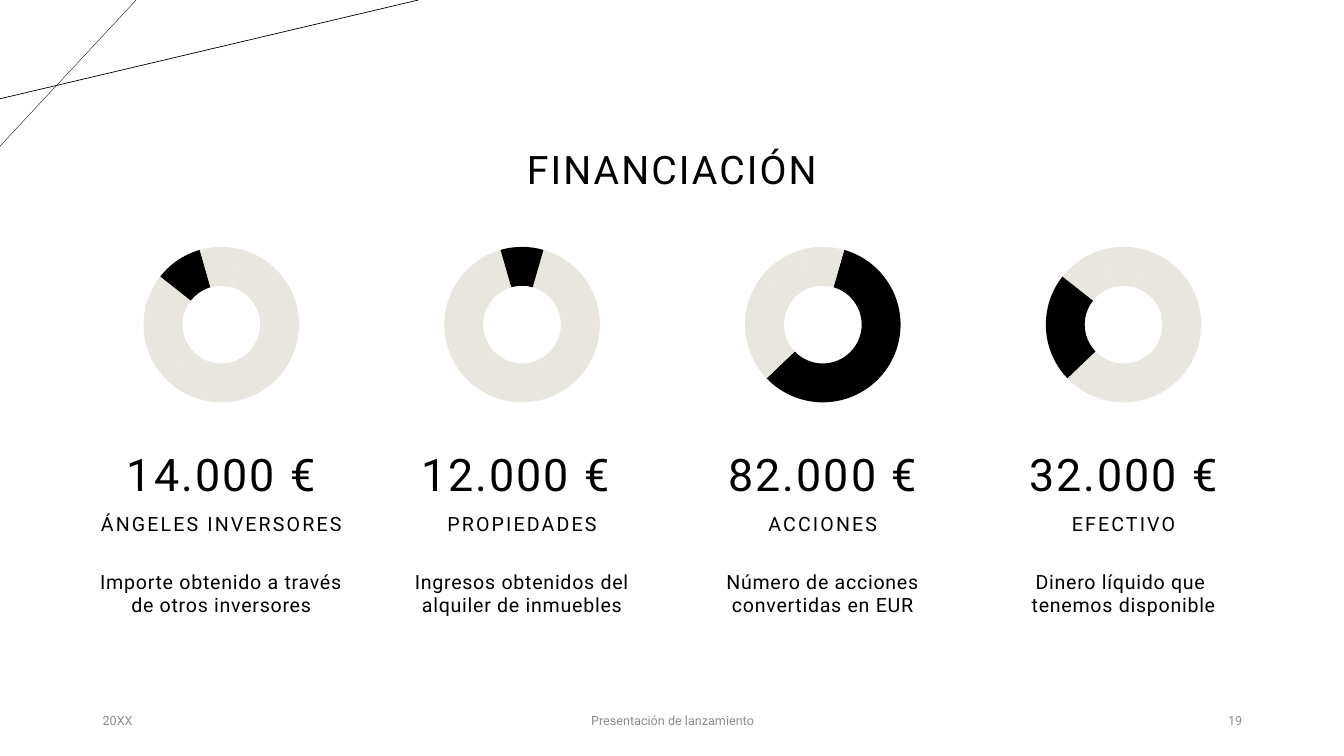
from dataclasses import dataclass

from lxml import etree
from pptx import Presentation
from pptx.chart.data import CategoryChartData
from pptx.dml.color import RGBColor
from pptx.enum.chart import XL_CHART_TYPE
from pptx.enum.shapes import MSO_CONNECTOR
from pptx.enum.text import MSO_ANCHOR, MSO_AUTO_SIZE, PP_ALIGN
from pptx.oxml import parse_xml
from pptx.oxml.ns import nsdecls, qn
from pptx.util import Inches, Pt

LEFT, CENTER, RIGHT = PP_ALIGN.LEFT, PP_ALIGN.CENTER, PP_ALIGN.RIGHT
TOP, MIDDLE, BOTTOM = MSO_ANCHOR.TOP, MSO_ANCHOR.MIDDLE, MSO_ANCHOR.BOTTOM

TITLE = "FINANCIACIÓN"
SHARES = {"1": 59, "2": 23, "3": 10, "4": 9}
# amount, source, description, index of the highlighted share
FUNDING = [
    ("14.000 €", "ÁNGELES INVERSORES", "Importe obtenido a través de otros inversores", 2),
    ("12.000 € ", "PROPIEDADES", "Ingresos obtenidos del alquiler de inmuebles", 3),
    ("82.000 €", "ACCIONES", "Número de acciones convertidas en EUR", 0),
    ("32.000 €", "EFECTIVO", "Dinero líquido que \ntenemos disponible", 1),
]
# text, left, width, alignment
FOOTER = [
    ("20XX", 0.92, 3, LEFT),
    ("Presentación de lanzamiento", 4.42, 4.5, CENTER),
    ("19", 9.42, 3, RIGHT),
]
# start, end, width in points
CORNER_LINES = [((1.35, 0), (0, 1.45), 0.25), ((4.15, 0), (0, 0.98), 0.5)]


@dataclass(frozen=True)
class Theme:
    font: str = "Roboto"
    ink: RGBColor = RGBColor(0x00, 0x00, 0x00)
    ring: RGBColor = RGBColor(0xE9, 0xE6, 0xDF)
    muted: RGBColor = RGBColor(0x8C, 0x8C, 0x8C)
    title_size: float = 28
    amount_size: float = 32
    body_size: float = 14
    chart_size: float = 10
    footer_size: float = 9


THEME = Theme()
FIRST_COLUMN, COLUMN_STEP, COLUMN_WIDTH = 0.92, 2.983, 2.55
CHART_INSET, CHART_TOP, CHART_WIDTH, CHART_HEIGHT = 0.26, 2.32, 2.03, 1.82
RING_DIAMETER = 1.55


def write_text(shape, text, *, size, color=THEME.ink, align=CENTER, anchor=MIDDLE,
               tracking=0, line_spacing=1.0, space_before=0, side_inset=0.1):
    frame = shape.text_frame
    frame.word_wrap = True
    frame.auto_size = MSO_AUTO_SIZE.NONE
    frame.vertical_anchor = anchor
    frame.margin_left = frame.margin_right = Inches(side_inset)
    frame.margin_top = frame.margin_bottom = Inches(0.05)
    paragraph = frame.paragraphs[0]
    paragraph.text = text
    paragraph.alignment = align
    paragraph.line_spacing = line_spacing
    paragraph.space_before = Pt(space_before)
    for run in paragraph.runs:
        run.font.name = THEME.font
        run.font.size = Pt(size)
        run.font.color.rgb = color
        run.font._element.set("spc", str(int(tracking * 100)))


def add_text(slide, box, text, **text_format):
    write_text(slide.shapes.add_textbox(*map(Inches, box)), text, **text_format)


def add_line(slide, start, end, width):
    line = slide.shapes.add_connector(
        MSO_CONNECTOR.STRAIGHT, *map(Inches, (*start, *end)))
    line.line.color.rgb = THEME.ink
    line.line.width = Pt(width)
    etree.SubElement(line._element.spPr, qn("a:effectLst"))


def fix_plot_area(chart):
    """Centre the ring at a fixed diameter inside the chart frame."""
    width, height = RING_DIAMETER / CHART_WIDTH, RING_DIAMETER / CHART_HEIGHT
    values = {"x": (1 - width) / 2, "y": (1 - height) / 2, "w": width, "h": height}
    parts = "".join(f'<c:{key} val="{value:.2f}"/>' for key, value in values.items())
    layout = parse_xml(
        f'<c:layout {nsdecls("c")}><c:manualLayout><c:layoutTarget val="inner"/>'
        f'<c:xMode val="edge"/><c:yMode val="edge"/>{parts}</c:manualLayout></c:layout>')
    plot_area = chart._chartSpace.chart.plotArea
    for old_layout in plot_area.findall(qn("c:layout")):
        plot_area.remove(old_layout)
    plot_area.insert(0, layout)


def add_ring(slide, left, highlighted):
    data = CategoryChartData()
    data.categories = list(SHARES)
    data.add_series("Series 1", list(SHARES.values()))
    chart = slide.shapes.add_chart(
        XL_CHART_TYPE.DOUGHNUT,
        *map(Inches, (left, CHART_TOP, CHART_WIDTH, CHART_HEIGHT)), data).chart
    chart.has_title = False
    chart.has_legend = False
    chart.font.name = THEME.font
    chart.font.size = Pt(THEME.chart_size)
    chart.font.color.rgb = THEME.ink
    plot = chart.plots[0]
    plot.vary_by_categories = False
    for index in range(len(SHARES)):
        point = plot.series[0].points[index]
        point.format.fill.solid()
        point.format.fill.fore_color.rgb = THEME.ink if index == highlighted else THEME.ring
        point.format.line.fill.background()
    plot._element.find(qn("c:firstSliceAng")).set("val", "16")
    plot._element.find(qn("c:holeSize")).set("val", "80")
    fix_plot_area(chart)


def add_funding(slide, left, amount, source, description, highlighted):
    add_ring(slide, left + CHART_INSET, highlighted)
    shared = {"space_before": 10, "side_inset": 0}
    heading = {"anchor": BOTTOM, "tracking": 1.5, "line_spacing": 0.9, **shared}
    add_text(slide, (left, 4.14, COLUMN_WIDTH, 0.88), amount,
             size=THEME.amount_size, **heading)
    add_text(slide, (left, 4.88, COLUMN_WIDTH, 0.48), source,
             size=THEME.body_size, **heading)
    add_text(slide, (left, 5.6, COLUMN_WIDTH, 0.93), description,
             size=THEME.body_size, anchor=TOP, tracking=0.5, **shared)


def main():
    presentation = Presentation()
    presentation.slide_width, presentation.slide_height = Inches(13.33), Inches(7.5)
    slide = presentation.slides.add_slide(presentation.slide_layouts.get_by_name("Title Only"))

    for start, end, width in CORNER_LINES:
        add_line(slide, start, end, width)

    title = slide.shapes.title
    title.left, title.top, title.width, title.height = map(Inches, (2.06, 0.98, 9.21, 1.45))
    write_text(title, TITLE, size=THEME.title_size, tracking=1.5, line_spacing=0.9)

    for column, funding in enumerate(FUNDING):
        add_funding(slide, FIRST_COLUMN + column * COLUMN_STEP, *funding)

    for text, left, width, align in FOOTER:
        add_text(slide, (left, 6.95, width, 0.4), text,
                 size=THEME.footer_size, color=THEME.muted, align=align)

    presentation.save("out.pptx")


if __name__ == "__main__":
    main()
